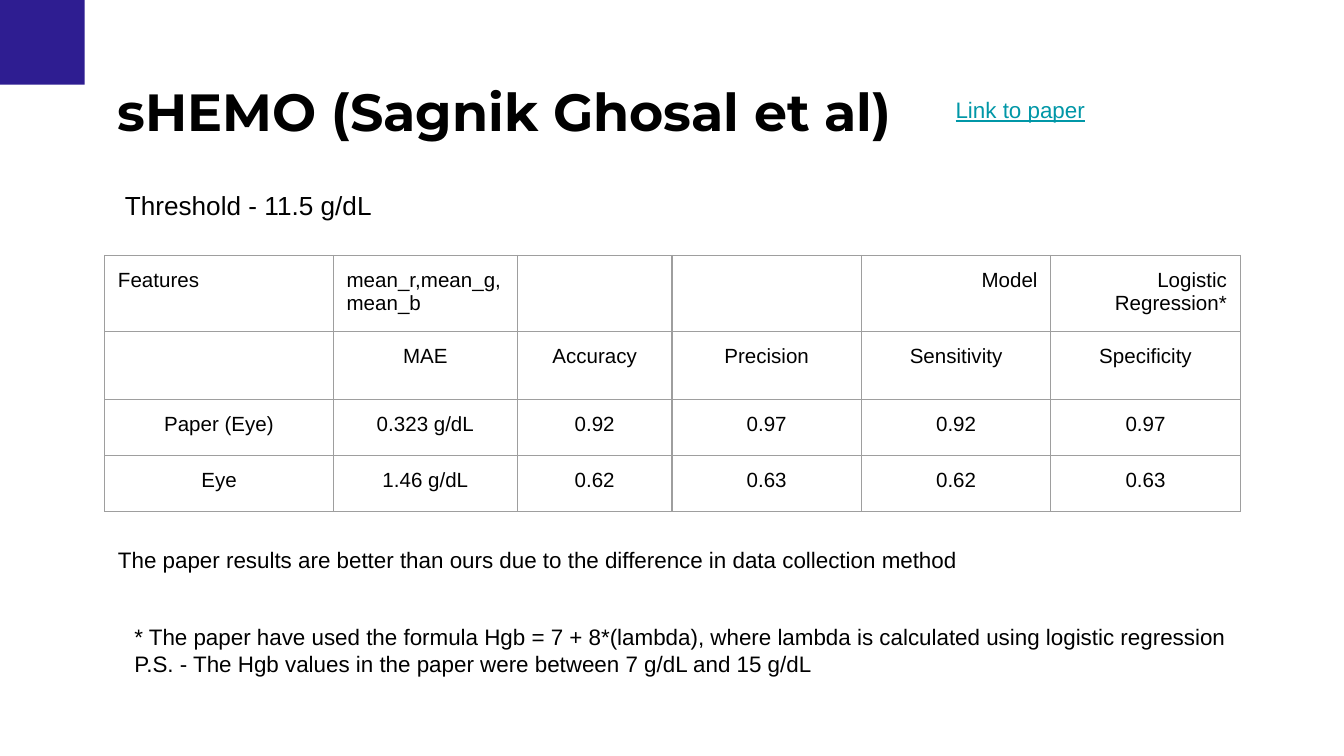
from pptx import Presentation
from pptx.dml.color import RGBColor
from pptx.enum.shapes import MSO_SHAPE as SHAPE
from pptx.enum.text import PP_ALIGN as ALIGN
from pptx.oxml import parse_xml
from pptx.oxml.ns import nsdecls
from pptx.util import Cm, Pt

BLACK, GREY, INDIGO, TEAL = "000000", "9E9E9E", "2E1D91", "0097A7"
INSET = Cm(0.25)
COLUMN_WIDTHS = [4.32, 3.48, 2.92, 3.58, 3.58, 3.58]
ROW_HEIGHTS = [1.44, 1.28, 1.06, 1.06]
ROWS = [
    ["Features", "mean_r,mean_g,\nmean_b", "", "", "Model", "Logistic Regression*"],
    ["", "MAE", "Accuracy", "Precision", "Sensitivity", "Specificity"],
    ["Paper (Eye)", "0.323 g/dL", "0.92", "0.97", "0.92", "0.97"],
    ["Eye", "1.46 g/dL", "0.62", "0.63", "0.62", "0.63"],
]
HEADER_ALIGN = [ALIGN.LEFT] * 4 + [ALIGN.RIGHT] * 2
BODY_ALIGN = [ALIGN.CENTER] * 6


def rgb(value):
    return RGBColor.from_string(value)


def write(tf, text, size=12, font="Arial", color=BLACK, bold=False,
          underline=False, align=ALIGN.LEFT):
    tf.word_wrap = True
    for i, line in enumerate(text.split("\n")):
        p = tf.add_paragraph() if i else tf.paragraphs[0]
        p.alignment = align
        r = p.add_run()
        r.text = line
        r.font.size, r.font.name = Pt(size), font
        r.font.bold, r.font.underline = bold, underline
        r.font.color.rgb = rgb(color)


def set_borders(cell, color, width):
    tc_pr = cell._tc.get_or_add_tcPr()
    for i, side in enumerate(("lnL", "lnR", "lnT", "lnB")):
        tc_pr.insert(i, parse_xml(
            f'<a:{side} {nsdecls("a")} w="{Pt(width)}"><a:solidFill>'
            f'<a:srgbClr val="{color}"/></a:solidFill></a:{side}>'))


class SlideBuilder:
    """Holds the presentation, its current slide and the shared table style."""

    border, border_width, cell_size = GREY, 0.75, 11

    def __init__(self):
        self.prs = Presentation()
        self.prs.slide_width, self.prs.slide_height = Cm(25.4), Cm(14.29)
        self.s = self.prs.slides.add_slide(self.prs.slide_layouts[6])

    def rect(self, x, y, w, h, color):
        sp = self.s.shapes.add_shape(SHAPE.RECTANGLE, Cm(x), Cm(y), Cm(w), Cm(h))
        sp.shadow.inherit = False
        sp.fill.solid()
        sp.fill.fore_color.rgb = rgb(color)
        sp.line.fill.background()

    def text(self, x, y, w, h, text, **style):
        tf = self.s.shapes.add_textbox(Cm(x), Cm(y), Cm(w), Cm(h)).text_frame
        tf.margin_left = tf.margin_right = tf.margin_top = tf.margin_bottom = INSET
        write(tf, text, **style)

    def table(self, x, y, widths, heights, rows, aligns):
        table = self.s.shapes.add_table(
            len(rows), len(widths), Cm(x), Cm(y), Cm(sum(widths)), Cm(sum(heights))).table
        table.first_row = table.horz_banding = False
        for column, width in zip(table.columns, widths):
            column.width = Cm(width)
        for row, height, texts, row_aligns in zip(table.rows, heights, rows, aligns):
            row.height = Cm(height)
            for cell, text, align in zip(row.cells, texts, row_aligns):
                cell.margin_left = cell.margin_right = INSET
                cell.margin_top = cell.margin_bottom = INSET
                cell.fill.background()
                set_borders(cell, self.border, self.border_width)
                if text:
                    write(cell.text_frame, text, size=self.cell_size, align=align)


def main():
    b = SlideBuilder()
    b.rect(0, 0, 1.6, 1.6, INDIGO)
    b.text(1.98, 1.24, 21.44, 1.7, "sHEMO (Sagnik Ghosal et al)",
           size=28, font="Montserrat", bold=True)
    b.text(17.81, 1.57, 3.3, 1.02, "Link to paper", color=TEAL, underline=True)
    b.table(1.98, 4.83, COLUMN_WIDTHS, ROW_HEIGHTS, ROWS,
            [HEADER_ALIGN] + [BODY_ALIGN] * 3)
    b.text(2.11, 3.33, 6, 1.12, "Threshold - 11.5 g/dL", size=14)
    b.text(1.98, 10.08, 17.17, 1.02,
           "The paper results are better than ours due to the difference in data collection method")
    b.text(2.29, 11.53, 21.77, 1.55,
           "* The paper have used the formula Hgb = 7 + 8*(lambda), where lambda is "
           "calculated using logistic regression\n"
           "P.S. - The Hgb values in the paper were between 7 g/dL and 15 g/dL")
    b.prs.save("out.pptx")


if __name__ == "__main__":
    main()
